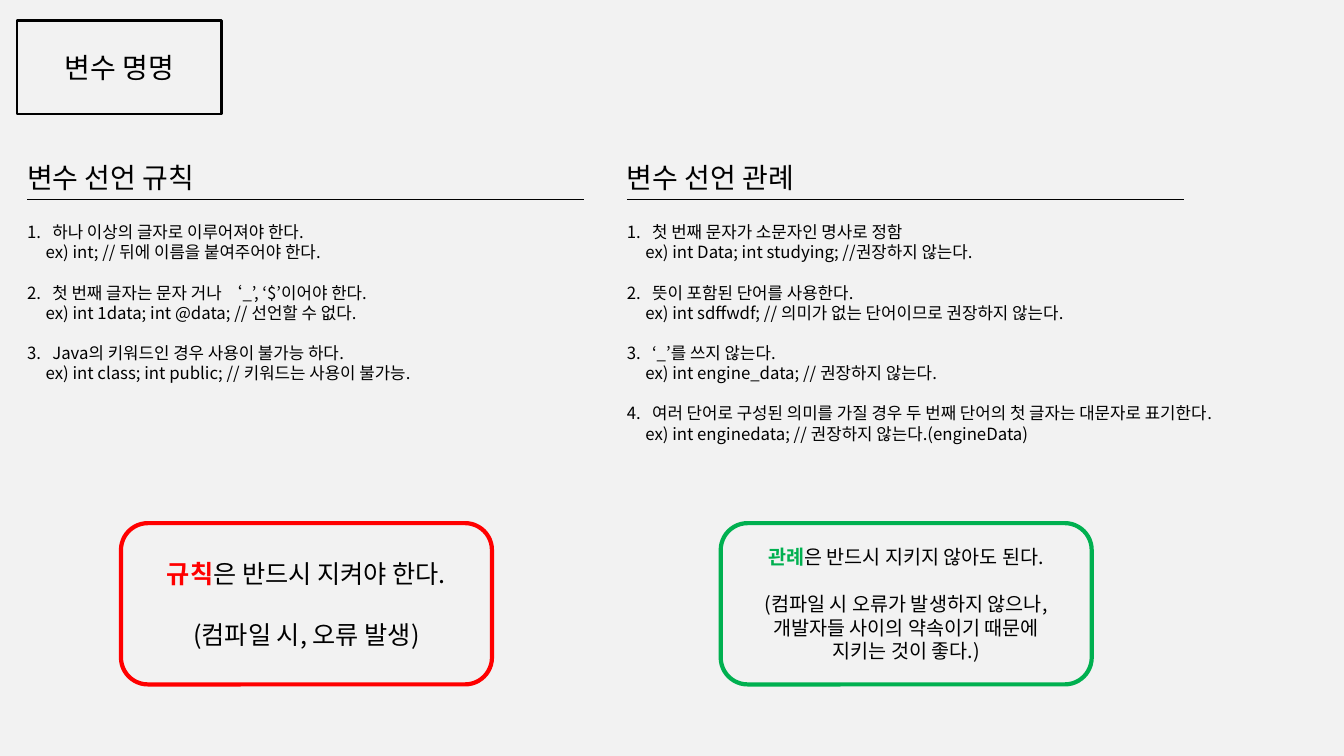
from dataclasses import dataclass

from lxml.etree import SubElement
from pptx import Presentation
from pptx.dml.color import RGBColor
from pptx.enum.shapes import MSO_CONNECTOR, MSO_SHAPE
from pptx.enum.text import MSO_ANCHOR, MSO_AUTO_SIZE, PP_ALIGN
from pptx.oxml.ns import qn
from pptx.util import Pt

FONT = "Noto Sans CJK KR"
BLACK = "000000"
LINE_HEIGHT = 1.2


@dataclass
class Rule:
    text: str
    example: str


@dataclass
class Column:
    left: float
    heading: str
    rules: list[Rule]
    list_size: tuple[float, float]
    keyword: str
    color: str
    summary_size: float
    summary: list[str]


COLUMNS = [
    Column(
        12.2, "변수 선언 규칙",
        [
            Rule("하나 이상의 글자로 이루어져야 한다.", "ex) int; // 뒤에 이름을 붙여주어야 한다."),
            Rule("첫 번째 글자는 문자 거나 ‘_’, ‘$’이어야 한다.",
                 "ex) int 1data; int @data; // 선언할 수 없다."),
            Rule("Java의 키워드인 경우 사용이 불가능 하다.",
                 "ex) int class; int public; // 키워드는 사용이 불가능."),
        ],
        (412.6, 123.8), "규칙", "FF0000", 18,
        ["은 반드시 지켜야 한다.", "(컴파일 시, 오류 발생)"],
    ),
    Column(
        440.6, "변수 선언 관례",
        [
            Rule("첫 번째 문자가 소문자인 명사로 정함",
                 "ex) int Data; int studying; //권장하지 않는다."),
            Rule("뜻이 포함된 단어를 사용한다.",
                 "ex) int sdffwdf; // 의미가 없는 단어이므로 권장하지 않는다."),
            Rule("‘_’를 쓰지 않는다.", "ex) int engine_data; // 권장하지 않는다."),
            Rule("여러 단어로 구성된 의미를 가질 경우 두 번째 단어의 첫 글자는 대문자로 표기한다.",
                 "ex) int enginedata; // 권장하지 않는다.(engineData)"),
        ],
        (464.4, 181.4), "관례", "00B050", 14,
        ["은 반드시 지키지 않아도 된다.", "(컴파일 시 오류가 발생하지 않으나,",
         "개발자들 사이의 약속이기 때문에", "지키는 것이 좋다.)"],
    ),
]


def rgb(color: str) -> RGBColor:
    return RGBColor.from_string(color)


def place(shape, left: float, top: float, width: float, height: float) -> None:
    shape.left, shape.top = Pt(left), Pt(top)
    shape.width, shape.height = Pt(width), Pt(height)


def prepare_frame(shape, anchor=MSO_ANCHOR.TOP):
    frame = shape.text_frame
    frame.word_wrap = True
    frame.auto_size = MSO_AUTO_SIZE.NONE
    frame.vertical_anchor = anchor
    return frame


def next_paragraph(frame):
    """Return the empty first paragraph, or a new one after it."""
    first = frame.paragraphs[0]
    return frame.add_paragraph() if first.runs else first


def add_text(paragraph, text: str, *, size: float, color: str = BLACK, bold: bool = False,
             align=PP_ALIGN.LEFT, space_before: float = 0) -> None:
    paragraph.alignment = align
    paragraph.line_spacing = Pt(size * LINE_HEIGHT)
    paragraph.space_before = Pt(space_before)
    run = paragraph.add_run()
    run.text = text
    run.font.size = Pt(size)
    run.font.bold = bold
    run.font.color.rgb = rgb(color)
    run.font.name = FONT
    SubElement(run.font._element, qn("a:ea"), typeface=FONT)


def set_bullet(paragraph, *, margin: float = 0, number: int | None = None) -> None:
    """Number the paragraph with a hanging indent, or remove its bullet."""
    properties = paragraph._p.get_or_add_pPr()
    properties.set("marL", str(Pt(margin)))
    properties.set("indent", str(Pt(-margin if number else 0)))
    if number:
        SubElement(properties, qn("a:buFont"), typeface=FONT)
        SubElement(properties, qn("a:buAutoNum"), type="arabicPeriod", startAt=str(number))
    else:
        SubElement(properties, qn("a:buNone"))


def add_title(slide) -> None:
    title = slide.shapes.title
    place(title, 12.2, 14.4, 146.2, 67)
    title.line.color.rgb = rgb(BLACK)
    title.line.width = Pt(2)
    frame = prepare_frame(title, MSO_ANCHOR.MIDDLE)
    add_text(next_paragraph(frame), "변수 명명", size=20, align=PP_ALIGN.CENTER)


def add_heading(slide, placeholder, column: Column) -> None:
    place(placeholder, column.left, 110.9, 166.3, 31.7)
    paragraph = next_paragraph(prepare_frame(placeholder))
    add_text(paragraph, column.heading, size=20)
    set_bullet(paragraph)
    start = column.left + 7.2
    underline = slide.shapes.add_connector(
        MSO_CONNECTOR.STRAIGHT, Pt(start), Pt(142.6), Pt(start + 398), Pt(142.6))
    underline.line.color.rgb = rgb(BLACK)
    underline.line.width = Pt(1.25)
    SubElement(underline._element.spPr, qn("a:effectLst"))


def add_rules(placeholder, column: Column) -> None:
    place(placeholder, column.left, 154.8, *column.list_size)
    frame = prepare_frame(placeholder)
    for number, rule in enumerate(column.rules, start=1):
        paragraph = next_paragraph(frame)
        add_text(paragraph, rule.text, size=12, space_before=14.4 if number > 1 else 0)
        set_bullet(paragraph, margin=18, number=number)
        paragraph = next_paragraph(frame)
        add_text(paragraph, rule.example, size=12)
        set_bullet(paragraph, margin=13.2)


def add_summary(slide, column: Column) -> None:
    box = slide.shapes.add_shape(MSO_SHAPE.ROUNDED_RECTANGLE, Pt(column.left + 74.2),
                                 Pt(373.7), Pt(265), Pt(115.2))
    box.shadow.inherit = False
    box.fill.background()
    box.line.color.rgb = rgb(column.color)
    box.line.width = Pt(3)
    frame = prepare_frame(box, MSO_ANCHOR.MIDDLE)
    size = column.summary_size
    add_text(frame.paragraphs[0], column.keyword, size=size, color=column.color, bold=True)
    for index, line in enumerate(column.summary):
        paragraph = frame.add_paragraph() if index else frame.paragraphs[0]
        add_text(paragraph, line, size=size, align=PP_ALIGN.CENTER,
                 space_before=size * LINE_HEIGHT if index == 1 else 0)


def main() -> None:
    presentation = Presentation()
    presentation.slide_width, presentation.slide_height = Pt(960), Pt(540)
    comparison = presentation.slide_layouts.get_by_name("Comparison")
    slide = presentation.slides.add_slide(comparison)
    slide.background.fill.solid()
    slide.background.fill.fore_color.rgb = rgb("F2F2F2")
    add_title(slide)
    _, *bodies = slide.placeholders
    for column, heading, rules in zip(COLUMNS, bodies[::2], bodies[1::2]):
        add_heading(slide, heading, column)
        add_rules(rules, column)
        add_summary(slide, column)
    presentation.save("out.pptx")


if __name__ == "__main__":
    main()
